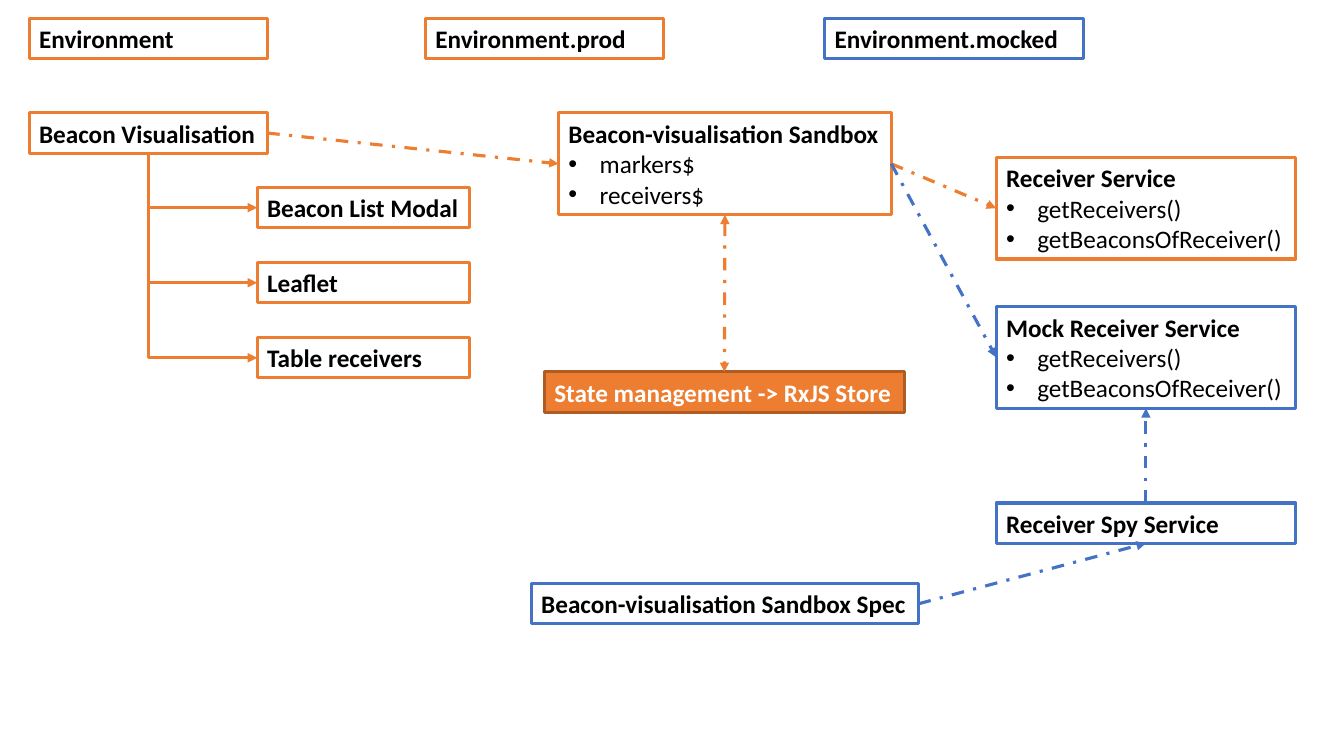
from lxml import etree
from pptx import Presentation
from pptx.dml.color import RGBColor
from pptx.enum.dml import MSO_LINE
from pptx.enum.shapes import MSO_CONNECTOR, MSO_SHAPE
from pptx.enum.text import MSO_ANCHOR, MSO_AUTO_SIZE, PP_ALIGN
from pptx.oxml.ns import qn
from pptx.util import Inches, Pt

ORANGE = RGBColor(0xED, 0x7D, 0x31)
DARK_ORANGE = RGBColor(0xAF, 0x5C, 0x24)
BLUE = RGBColor(0x44, 0x72, 0xC4)
WHITE = RGBColor(0xFF, 0xFF, 0xFF)
BLACK = RGBColor(0, 0, 0)
RECTANGLE = MSO_SHAPE.RECTANGLE
STRAIGHT, ELBOW = MSO_CONNECTOR.STRAIGHT, MSO_CONNECTOR.ELBOW
DASH_DOT = MSO_LINE.DASH_DOT
TOP, LEFT, BOTTOM, RIGHT = range(4)  # connection sites of a rectangle

FONT = {"name": "Calibri", "size": Pt(18)}
FRAME = {"auto_size": MSO_AUTO_SIZE.SHAPE_TO_FIT_TEXT, "vertical_anchor": MSO_ANCHOR.MIDDLE}
ONE_LINE, THREE_LINES = 0.4, 1.01
BULLET_INDENT = Inches(0.31)


def apply(target, values):
    for name, value in values.items():
        setattr(target, name, value)


class Diagram:
    """Holds the shared style and the slide being drawn."""

    def __init__(self, slide, line_width=Pt(2.25)):
        self.slide = slide
        self.line_width = line_width

    def outline(self, line, color):
        line.color.rgb = color
        line.width = self.line_width

    def box(self, left, top, width, title, color, items=(), fill=WHITE, ink=BLACK, wrap=False):
        height = THREE_LINES if items else ONE_LINE
        box = self.slide.shapes.add_shape(
            RECTANGLE, Inches(left), Inches(top), Inches(width), Inches(height))
        box.shadow.inherit = False
        box.fill.solid()
        box.fill.fore_color.rgb = fill
        self.outline(box.line, color)
        frame = box.text_frame
        apply(frame, {**FRAME, "word_wrap": wrap})
        self.paragraph(frame.paragraphs[0], title, ink, bold=True)
        for item in items:
            para = frame.add_paragraph()
            self.paragraph(para, item, ink, bold=False)
            self.bullet(para)
        return box

    def paragraph(self, para, text, color, bold):
        para.alignment = PP_ALIGN.LEFT
        span = para.add_run()
        span.text = text
        apply(span.font, {**FONT, "bold": bold})
        span.font.color.rgb = color

    def bullet(self, para):
        properties = para._p.get_or_add_pPr()
        properties.set("marL", str(BULLET_INDENT))
        properties.set("indent", str(-BULLET_INDENT))
        etree.SubElement(properties, qn("a:buFont")).set("typeface", "Arial")
        etree.SubElement(properties, qn("a:buChar")).set("char", "•")

    def connector(self, kind, start, start_site, end, end_site, color, ends):
        connector = self.slide.shapes.add_connector(kind, 0, 0, 0, 0)
        connector.begin_connect(start, start_site)
        connector.end_connect(end, end_site)
        self.outline(connector.line, color)
        line = connector.line._get_or_add_ln()
        for end_name in ends:
            etree.SubElement(line, qn("a:" + end_name)).set("type", "triangle")
        etree.SubElement(connector._element.spPr, qn("a:effectLst"))
        return connector

    def arrow(self, start, start_site, end, end_site, color, ends=("tailEnd",)):
        connector = self.connector(STRAIGHT, start, start_site, end, end_site, color, ends)
        connector.line.dash_style = DASH_DOT

    def branch(self, parent, child, color):
        """One-bend arrow from below the parent to the left of the child."""
        connector = self.connector(ELBOW, parent, BOTTOM, child, LEFT, color, ("tailEnd",))
        run, drop = connector.width, connector.height
        # The bend is a quarter turn of the preset, kept on the same centre
        apply(connector, {
            "left": connector.left + (run - drop) // 2,
            "top": connector.top + (drop - run) // 2,
            "width": drop,
            "height": run,
        })
        properties = connector._element.spPr
        frame = properties.find(qn("a:xfrm"))
        frame.set("rot", str(270 * 60000))
        frame.set("flipH", "1")
        properties.find(qn("a:prstGeom")).set("prst", "bentConnector2")


deck = Presentation()
deck.slide_width, deck.slide_height = Inches(13.33), Inches(7.5)
diagram = Diagram(deck.slides.add_slide(deck.slide_layouts[6]))

# Environments
for left, width, name, color in (
    (0.29, 2.36, "Environment", ORANGE),
    (4.22, 2.36, "Environment.prod", ORANGE),
    (8.18, 2.57, "Environment.mocked", BLUE),
):
    diagram.box(left, 0.18, width, name, color, wrap=True)

# Visualisation and its child components
visualisation = diagram.box(0.29, 1.12, 2.36, "Beacon Visualisation", ORANGE)
for row, name in enumerate(("Beacon List Modal", "Leaflet", "Table receivers")):
    child = diagram.box(2.55, 1.86 + row * 0.745, 2.11, name, ORANGE, wrap=row > 0)
    diagram.branch(visualisation, child, ORANGE)

# Sandbox, store and test
sandbox = diagram.box(5.54, 1.12, 3.3, "Beacon-visualisation Sandbox", ORANGE,
                      ("markers$", "receivers$"))
store = diagram.box(5.4, 3.69, 3.57, "State management -> RxJS Store", DARK_ORANGE,
                    fill=ORANGE, ink=WHITE)
sandbox_test = diagram.box(5.27, 5.79, 3.84, "Beacon-visualisation Sandbox Spec", BLUE)

# Receiver services
calls = ("getReceivers()", "getBeaconsOfReceiver()")
service = diagram.box(9.88, 1.56, 2.97, "Receiver Service", ORANGE, calls)
mock = diagram.box(9.88, 3.04, 2.97, "Mock Receiver Service", BLUE, calls)
spy = diagram.box(9.88, 4.99, 2.97, "Receiver Spy Service", BLUE, wrap=True)

# Dependencies
diagram.arrow(visualisation, RIGHT, sandbox, LEFT, ORANGE)
diagram.arrow(sandbox, BOTTOM, store, TOP, ORANGE, ends=("headEnd", "tailEnd"))
diagram.arrow(sandbox, RIGHT, service, LEFT, ORANGE)
diagram.arrow(sandbox, RIGHT, mock, LEFT, BLUE)
diagram.arrow(sandbox_test, RIGHT, spy, BOTTOM, BLUE)
diagram.arrow(spy, TOP, mock, BOTTOM, BLUE)

deck.save("out.pptx")
